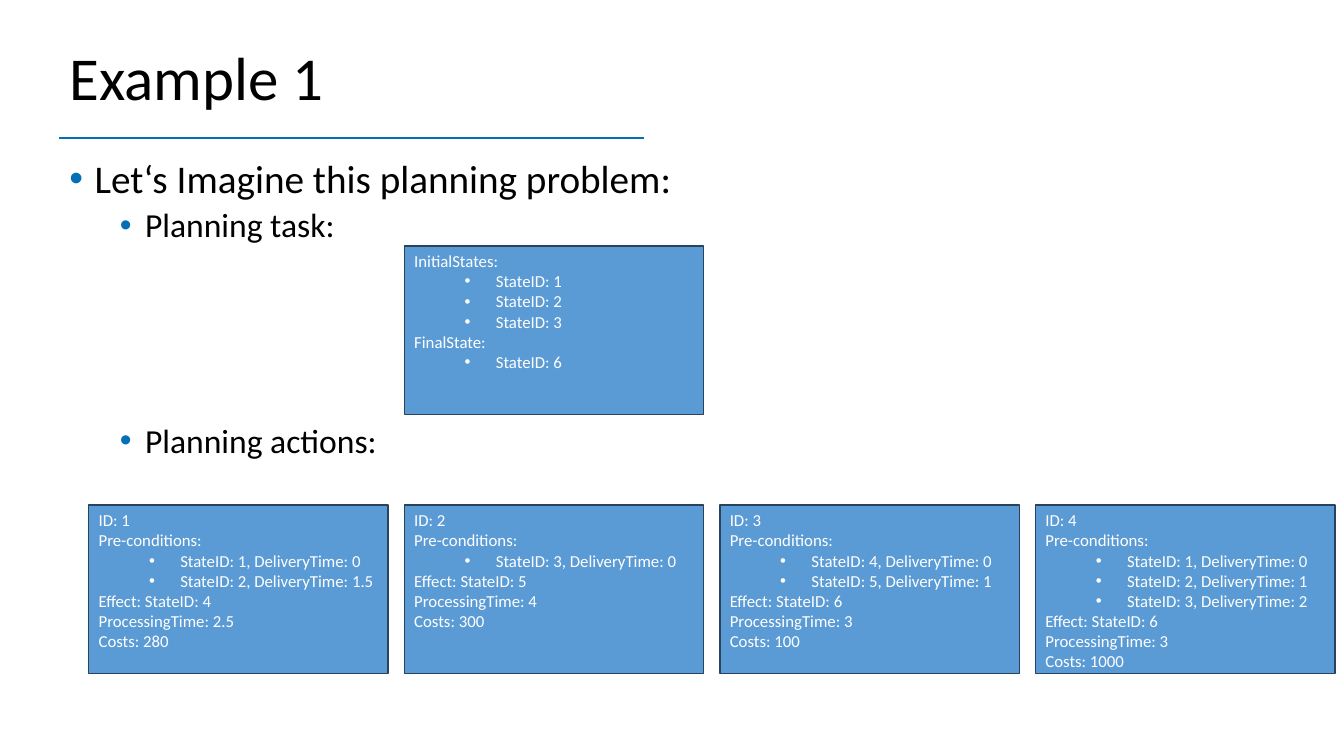
"""Build the planning example slide with its task and action cards."""
from lxml import etree
from pptx import Presentation
from pptx.dml.color import RGBColor
from pptx.enum import shapes, text
from pptx.oxml import ns
from pptx.util import Inches, Pt

BLACK = RGBColor(0x00, 0x00, 0x00)
WHITE = RGBColor(0xFF, 0xFF, 0xFF)
ACCENT = RGBColor(0x03, 0x6F, 0xB4)
CARD_FILL = RGBColor(0x5B, 0x9B, 0xD5)
CARD_LINE = RGBColor(0x28, 0x44, 0x5D)

FONT = "Calibri"
MARGIN, CONTENT_WIDTH = 0.59, 12.13
CARD_WIDTH, CARD_HEIGHT = 2.97, 1.67
CARD_LEFT, CARD_PITCH = 0.88, 3.13
TASK_TOP, ACTION_TOP = 2.44, 5.01

TASK = ["InitialStates:", "StateID: 1", "StateID: 2", "StateID: 3",
        "FinalState:", "StateID: 6"]
ACTIONS = [
    ([(1, "0"), (2, "1.5")], 4, "2.5", 280),
    ([(3, "0")], 5, "4", 300),
    ([(4, "0"), (5, "1")], 6, "3", 100),
    ([(1, "0"), (2, "1"), (3, "2")], 6, "3", 1000),
]
OUTLINE = [
    ("Let‘s Imagine this planning problem:", 28, 0, 0.25, 10),
    ("Planning task:", 24, 1, 0.75, 5),
    ("Planning actions:", 24, 1, 0.75, 128),
]


def apply_format(target, values):
    """Set each named attribute of the target."""
    for name, value in values.items():
        setattr(target, name, value)


def add_bullet(para, left, hanging, color):
    """Give a paragraph a hanging bullet of the given colour."""
    properties = para._p.get_or_add_pPr()
    properties.set("marL", str(Inches(left)))
    properties.set("indent", str(-Inches(hanging)))
    bullet_color = etree.SubElement(properties, ns.qn("a:buClr"))
    etree.SubElement(bullet_color, ns.qn("a:srgbClr"), val=str(color))
    etree.SubElement(properties, ns.qn("a:buFont"), typeface="Arial")
    etree.SubElement(properties, ns.qn("a:buChar"), char="•")


def add_paragraph(frame, content, size, color, values):
    """Write one paragraph, using the first empty one if there is one."""
    first = frame.paragraphs[0]
    para = frame.add_paragraph() if first.runs else first
    apply_format(para, {"alignment": text.PP_ALIGN.LEFT, **values})
    span = para.add_run()
    span.text = content
    apply_format(span.font, {"name": FONT, "size": Pt(size)})
    span.font.color.rgb = color
    return para


def add_text_box(page, top, height, anchor):
    """Add a full-width text box and return its frame."""
    box = page.shapes.add_textbox(
        Inches(MARGIN), Inches(top), Inches(CONTENT_WIDTH), Inches(height))
    apply_format(box.text_frame, {"word_wrap": True, "vertical_anchor": anchor})
    return box.text_frame


def add_title(page, title):
    """Add the slide title and the rule beneath it."""
    frame = add_text_box(page, 0.38, 0.85, text.MSO_ANCHOR.MIDDLE)
    add_paragraph(frame, title, 43.5, BLACK, {"line_spacing": 0.9})
    rule = page.shapes.add_connector(
        shapes.MSO_CONNECTOR.STRAIGHT,
        Inches(MARGIN), Inches(1.37), Inches(6.39), Inches(1.37))
    rule.line.color.rgb = ACCENT
    rule.line.width = Pt(1.5)
    etree.SubElement(rule._element.spPr, ns.qn("a:effectLst"))


def add_outline(page):
    """Add the bulleted outline."""
    frame = add_text_box(page, 1.53, 5.25, text.MSO_ANCHOR.TOP)
    for content, size, level, left, before in OUTLINE:
        para = add_paragraph(frame, content, size, BLACK, {
            "level": level, "line_spacing": 0.9, "space_before": Pt(before)})
        add_bullet(para, left, 0.25, ACCENT)


def add_card(page, column, top, lines):
    """Add a card in a column, with its states as bullets."""
    card = page.shapes.add_shape(
        shapes.MSO_SHAPE.RECTANGLE,
        Inches(CARD_LEFT + column * CARD_PITCH), Inches(top),
        Inches(CARD_WIDTH), Inches(CARD_HEIGHT))
    card.shadow.inherit = False
    card.fill.solid()
    card.fill.fore_color.rgb = CARD_FILL
    card.line.color.rgb = CARD_LINE
    card.line.width = Pt(1)
    apply_format(card.text_frame, {
        "word_wrap": True, "vertical_anchor": text.MSO_ANCHOR.TOP})
    for line in lines:
        is_state = line.startswith("StateID")
        para = add_paragraph(
            card.text_frame, line, 12, WHITE, {"level": int(is_state)})
        if is_state:
            add_bullet(para, 0.81, 0.31, WHITE)


def action_lines(number, conditions, effect, duration, costs):
    """Return the text lines that describe an action."""
    states = [f"StateID: {state}, DeliveryTime: {delivery}"
              for state, delivery in conditions]
    return [f"ID: {number}", "Pre-conditions:", *states,
            f"Effect: StateID: {effect}", f"ProcessingTime: {duration}",
            f"Costs: {costs}"]


def main():
    """Build and save the slide."""
    deck = Presentation()
    apply_format(deck, {
        "slide_width": Inches(13.33), "slide_height": Inches(7.5)})
    page = deck.slides.add_slide(deck.slide_layouts[6])
    add_title(page, "Example 1")
    add_outline(page)
    add_card(page, 1, TASK_TOP, TASK)
    for column, action in enumerate(ACTIONS):
        add_card(page, column, ACTION_TOP, action_lines(column + 1, *action))
    deck.save("out.pptx")


if __name__ == "__main__":
    main()
